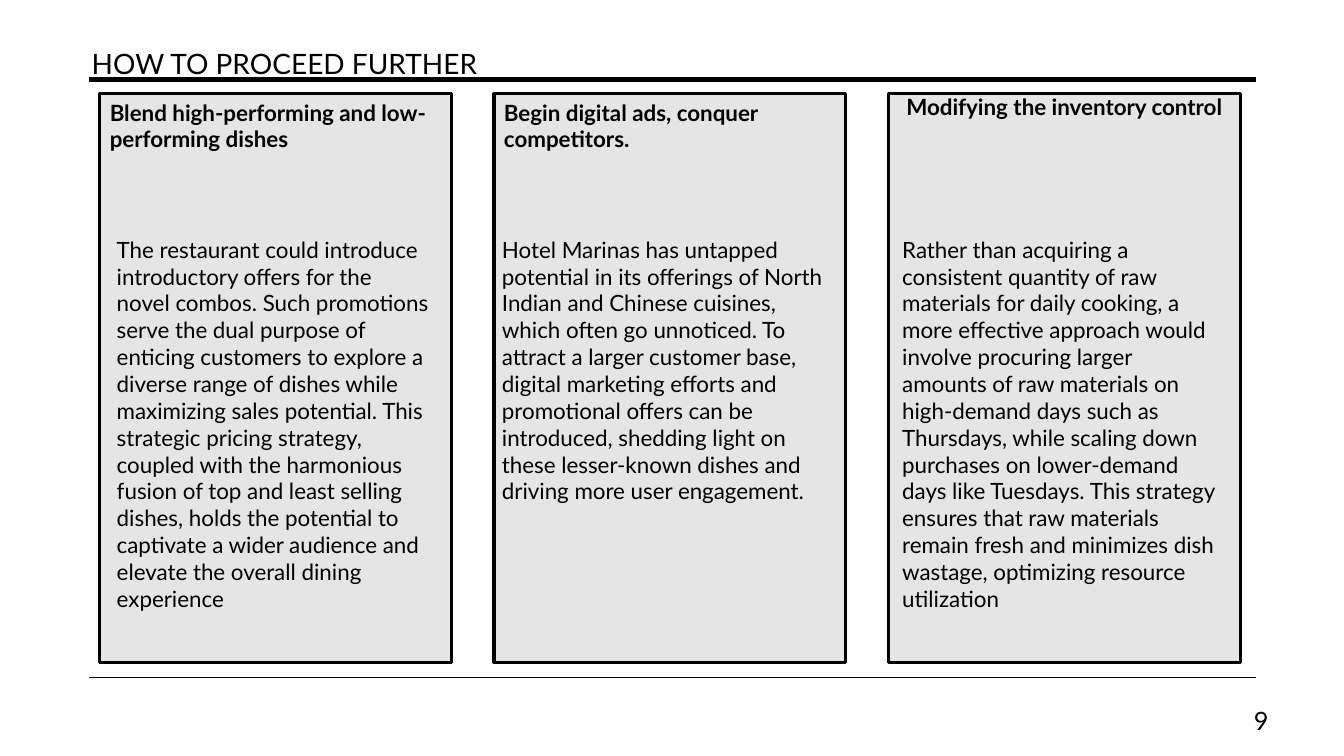
from dataclasses import dataclass

from lxml.etree import SubElement
from pptx import Presentation
from pptx.dml.color import RGBColor
from pptx.enum.shapes import MSO_CONNECTOR as Conn, MSO_SHAPE as Shape
from pptx.enum.text import MSO_ANCHOR as Anchor, MSO_AUTO_SIZE as Fit, PP_ALIGN as Align
from pptx.oxml.ns import qn
from pptx.util import Inches, Pt


@dataclass(frozen=True)
class Theme:
    font: str = "Lato"
    ink: RGBColor = RGBColor(0, 0, 0)
    alpha: int = 10  # panel opacity, percent
    title: int = 20
    text: int = 16
    page: int = 18


class Deck:
    def __init__(self, theme):
        self.theme = theme
        self.file = Presentation()
        self.file.slide_width = Inches(13.33)
        self.file.slide_height = Inches(7.5)
        self.slide = self.file.slides.add_slide(self.file.slide_layouts[5])

    def rule(self, y, weight):
        line = self.slide.shapes.add_connector(
            Conn.STRAIGHT, Inches(0.88), Inches(y), Inches(12.46), Inches(y))
        line.line.color.rgb = self.theme.ink
        line.line.width = Pt(weight)
        SubElement(line._element.spPr, qn("a:effectLst"))

    def panel(self, box):
        rect = self.slide.shapes.add_shape(Shape.RECTANGLE, *map(Inches, box))
        rect.shadow.inherit = False
        rect.fill.solid()
        rect.fill.fore_color.rgb = self.theme.ink
        tint = rect._element.spPr.find(f"{qn('a:solidFill')}/{qn('a:srgbClr')}")
        SubElement(tint, qn("a:alpha"), val=str(self.theme.alpha * 1000))
        rect.line.color.rgb = self.theme.ink
        rect.line.width = Pt(2.25)

    def letter(self, shape, text, size, bold=False, align=Align.LEFT,
               anchor=Anchor.TOP, fit=Fit.NONE, indent=0):
        frame = shape.text_frame
        frame.word_wrap = True
        frame.auto_size = fit
        frame.vertical_anchor = anchor
        para = frame.paragraphs[0]
        para.alignment = align
        if indent:
            para._p.get_or_add_pPr().set("marL", str(Inches(indent)))
        run = para.add_run()
        run.text = text
        run.font.name = self.theme.font
        run.font.size = Pt(size)
        run.font.bold = bold
        run.font.color.rgb = self.theme.ink

    def title(self, box, text):
        shape = self.slide.shapes.title
        shape.left, shape.top, shape.width, shape.height = map(Inches, box)
        self.letter(shape, text, self.theme.title)

    def text(self, box, text, size, **style):
        self.letter(self.slide.shapes.add_textbox(*map(Inches, box)), text, size, **style)


# Each column: heading, its box and indent, then body text and its box
COLUMNS = [
    ("Blend high-performing and low-performing dishes", (0.99, 0.93, 3.49, 0.94), 0,
     "The restaurant could introduce introductory offers for the novel combos. "
     "Such promotions serve the dual purpose of enticing customers to explore a "
     "diverse range of dishes while maximizing sales potential. This strategic "
     "pricing strategy, coupled with the harmonious fusion of top and least "
     "selling dishes, holds the potential to captivate a wider audience and "
     "elevate the overall dining experience", (1.06, 2.29, 3.3, 3.87)),
    ("Begin digital ads, conquer competitors.", (4.9, 0.93, 3.49, 0.64), 0,
     "Hotel Marinas has untapped potential in its offerings of North Indian and "
     "Chinese cuisines, which often go unnoticed. To attract a larger customer "
     "base, digital marketing efforts and promotional offers can be introduced, "
     "shedding light on these lesser-known dishes and driving more user "
     "engagement.", (4.88, 2.29, 3.49, 2.79)),
    ("Modifying the inventory control", (8.39, 0.88, 4.05, 0.37), 0.5,
     "Rather than acquiring a consistent quantity of raw materials for daily "
     "cooking, a more effective approach would involve procuring larger amounts "
     "of raw materials on high-demand days such as Thursdays, while scaling down "
     "purchases on lower-demand days like Tuesdays. This strategy ensures that "
     "raw materials remain fresh and minimizes dish wastage, optimizing resource "
     "utilization", (8.85, 2.29, 3.37, 3.6)),
]


def main():
    theme = Theme()
    deck = Deck(theme)

    # Frame: rules, title and page number
    deck.rule(0.79, 3.5)
    deck.rule(6.72, 1)
    deck.title((0.81, 0.41, 9.06, 0.44), "HOW TO PROCEED FURTHER")
    deck.text((11.94, 6.95, 0.74, 0.4), "9", theme.page,
              align=Align.RIGHT, anchor=Anchor.MIDDLE)

    # Three evenly spaced columns
    for i, (head, top, indent, body, box) in enumerate(COLUMNS):
        deck.panel((0.99 + i * 3.91, 0.93, 3.49, 5.64))
        deck.text(top, head, theme.text, bold=True, indent=indent,
                  fit=Fit.SHAPE_TO_FIT_TEXT)
        deck.text(box, body, theme.text, fit=Fit.SHAPE_TO_FIT_TEXT)

    deck.file.save("out.pptx")


if __name__ == "__main__":
    main()
